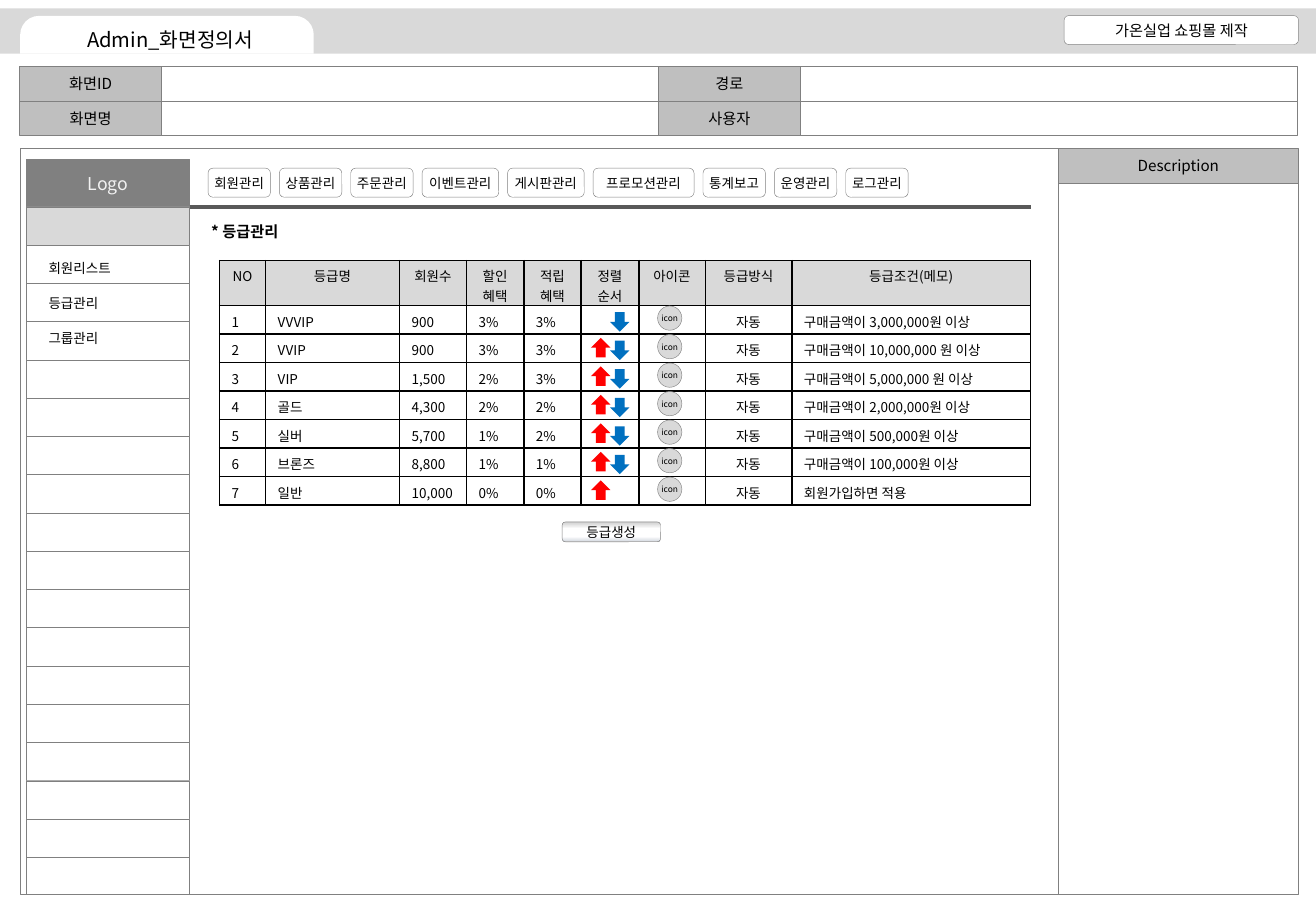
from dataclasses import dataclass

from lxml import etree
from pptx import Presentation
from pptx.dml import color
from pptx.enum import shapes as kinds, text as txt
from pptx.oxml import ns
from pptx.util import Pt


@dataclass(frozen=True)
class Theme:
    font: str = "Noto Sans CJK KR"
    ink: str = "000000"
    white: str = "FFFFFF"
    pale: str = "F2F2F2"
    light: str = "D9D9D9"
    mid: str = "BFBFBF"
    edge: str = "808080"
    rule: str = "595959"
    red: str = "FF0000"
    blue: str = "0070C0"
    title: float = 12
    logo: float = 10.5
    label: float = 9
    small: float = 8
    tiny: float = 5


T = Theme()
KIND = kinds.MSO_SHAPE
LEFT, MID = txt.PP_ALIGN.LEFT, txt.PP_ALIGN.CENTER
FIELDS = [["화면ID", "경로"], ["화면명", "사용자"]]
TABS = ["회원관리", "상품관리", "주문관리", "이벤트관리", "게시판관리",
        "프로모션관리", "통계보고", "운영관리", "로그관리"]
TAB_WIDTH = {4: 37, 5: 45.4, 6: 59.8}
MENU = ["회원리스트", "등급관리", "그룹관리"]
GLOSS = [(0, T.mid), (8, T.light), (34, T.white), (74, T.white),
         (93, "DDE1E7"), (100, "CCCCCC")]
COLS = [27.3, 79.4, 39.7, 34, 34, 34.2, 39.4, 51.3, 141.6]
HEADS = ["NO", "등급명", "회원수", "할인\n혜택", "적립\n혜택", "정렬\n순서",
         "아이콘", "등급방식", "등급조건(메모)"]
GRADES = [
    ("VVVIP", "900", "3%", "3%", "구매금액이 3,000,000원 이상"),
    ("VVIP", "900", "3%", "3%", "구매금액이 10,000,000 원 이상"),
    ("VIP", "1,500", "2%", "3%", "구매금액이 5,000,000 원 이상"),
    ("골드", "4,300", "2%", "2%", "구매금액이 2,000,000원 이상"),
    ("실버", "5,700", "1%", "2%", "구매금액이 500,000원 이상"),
    ("브론즈", "8,800", "1%", "1%", "구매금액이 100,000원 이상"),
    ("일반", "10,000", "0%", "0%", "회원가입하면 적용"),
]
GRID_X, GRID_Y, HEAD_H, ROW_H = 130.1, 154.4, 26.4, 16.9


def rgb(code):
    return color.RGBColor.from_string(code)


def assign(item, values):
    for key, value in values.items():
        setattr(item, key, value)


def write(frame, words, size, ink=T.ink, align=MID, bold=False, gap=0):
    """Fill a text frame; gap is the space between its paragraphs."""
    frame.text = words
    for i, par in enumerate(frame.paragraphs):
        assign(par, {"alignment": align, "space_before": Pt(gap if i else 0)})
        for run in par.runs:
            assign(run.font, {"name": T.font, "size": Pt(size), "bold": bold})
            run.font.color.rgb = rgb(ink)
            etree.SubElement(run.font._element, ns.qn("a:ea"), typeface=T.font)
        if not par.runs:
            etree.SubElement(par._p, ns.qn("a:endParaRPr"), sz=str(size * 100))


def frame_up(frame, left=0, top=0, anchor=txt.MSO_ANCHOR.MIDDLE):
    assign(frame, {
        "margin_left": Pt(left), "margin_right": Pt(left),
        "margin_top": Pt(top), "margin_bottom": Pt(top),
        "vertical_anchor": anchor, "word_wrap": False,
        "auto_size": txt.MSO_AUTO_SIZE.NONE})


def draw(slide, kind, box, fill=None, edge=T.edge, words="", size=T.label,
         ink=T.ink):
    shape = slide.shapes.add_shape(kind, *map(Pt, box))
    shape.shadow.inherit = False
    if fill:
        shape.fill.solid()
        shape.fill.fore_color.rgb = rgb(fill)
    else:
        shape.fill.background()
    if edge:
        shape.line.width = Pt(0.25)
        shape.line.color.rgb = rgb(edge)
    else:
        shape.line.fill.background()
    if words:
        frame_up(shape.text_frame)
        write(shape.text_frame, words, size, ink)
    return shape


def gloss(shape):
    """Give a shape the vertical button gradient."""
    shape.fill.gradient()
    shape.fill.gradient_angle = 270
    stops = next(shape._element.iter(ns.qn("a:gsLst")))
    for stop in list(stops):
        stops.remove(stop)
    for pos, code in GLOSS:
        stop = etree.SubElement(stops, ns.qn("a:gs"), pos=str(pos * 1000))
        etree.SubElement(stop, ns.qn("a:srgbClr"), val=code)


def place(holder, box):
    """Move a placeholder and bring it to the front."""
    assign(holder, dict(zip(("left", "top", "width", "height"), map(Pt, box))))
    holder._element.getparent().append(holder._element)


def header(slide):
    draw(slide, KIND.RECTANGLE, (0, 5, 780, 26.8), T.light, None)
    tab = draw(slide, KIND.ROUND_2_SAME_RECTANGLE, (12, 9.4, 174, 22.4),
               T.white, None)
    tab.adjustments[0] = 0.5
    draw(slide, KIND.ROUNDED_RECTANGLE, (630.7, 9.2, 139, 17.2), T.white,
         words="가온실업 쇼핑몰 제작")
    title = slide.shapes.title
    place(title, (21.6, 15, 158.4, 17.3))
    frame_up(title.text_frame)
    write(title.text_frame, "Admin_화면정의서", T.title)
    for j, row in enumerate(FIELDS):
        for i, name in enumerate(row):
            x, y = 11.6 + 378.6 * i, 39.4 + 20.4 * j
            draw(slide, KIND.RECTANGLE, (x, y, 84.2, 20.4), T.mid, words=name)
            draw(slide, KIND.RECTANGLE, (x + 84.2, y, 294.7, 20.4))


def panels(slide):
    draw(slide, KIND.RECTANGLE, (12, 88, 615.4, 442.2))
    draw(slide, KIND.RECTANGLE, (627.4, 88, 142, 20.6), T.mid,
         words="Description")
    draw(slide, KIND.RECTANGLE, (627.4, 108.6, 142, 421.6))


def sidebar(slide):
    draw(slide, KIND.RECTANGLE, (15.8, 122.6, 96.6, 407.6))
    draw(slide, KIND.RECTANGLE, (15.8, 94.4, 96.6, 28.2), T.edge,
         words="Logo", size=T.logo, ink=T.pale)
    for i in range(17):
        draw(slide, KIND.RECTANGLE, (15.8, 122.6 + 22.68 * i, 96.6, 22.68),
             T.white if i else T.light)
    menu = slide.placeholders[1]
    place(menu, (21.6, 150.6, 80, 70))
    frame_up(menu.text_frame, 7.2, 3.6, txt.MSO_ANCHOR.TOP)
    write(menu.text_frame, "\n".join(MENU), T.small, align=LEFT, gap=11.1)
    for par in menu.text_frame.paragraphs:
        props = par._p.get_or_add_pPr()
        props.set("marL", "0")
        props.set("indent", "0")
        etree.SubElement(props, ns.qn("a:buNone"))


def tabs(slide):
    x = 123.3
    for name in TABS:
        width = TAB_WIDTH[len(name)]
        draw(slide, KIND.ROUNDED_RECTANGLE, (x, 99.7, width, 17.2),
             words=name, size=T.small)
        x += width + 5.3
    rule = slide.shapes.add_connector(
        kinds.MSO_CONNECTOR.STRAIGHT, *map(Pt, (112.4, 122.6, 611.2, 122.6)))
    rule.line.width = Pt(2.25)
    rule.line.color.rgb = rgb(T.rule)
    etree.SubElement(rule._element.spPr, ns.qn("a:effectLst"))


def border(cell):
    props = cell._tc.get_or_add_tcPr()
    for i, side in enumerate(("lnL", "lnR", "lnT", "lnB")):
        line = etree.Element(ns.qn("a:" + side), w=str(Pt(1)))
        solid = etree.SubElement(line, ns.qn("a:solidFill"))
        etree.SubElement(solid, ns.qn("a:srgbClr"), val=T.ink)
        props.insert(i, line)


def grid(slide):
    rows = [HEADS] + [
        (str(n), *grade[:4], "", "", "자동", grade[4])
        for n, grade in enumerate(GRADES, 1)]
    high = HEAD_H + ROW_H * len(GRADES)
    table = slide.shapes.add_table(
        len(rows), len(COLS),
        *map(Pt, (GRID_X, GRID_Y, sum(COLS), high))).table
    assign(table, {"first_row": False, "horz_banding": False})
    for col, width in zip(table.columns, COLS):
        col.width = Pt(width)
    for r, row in enumerate(rows):
        table.rows[r].height = Pt(ROW_H if r else HEAD_H)
        for c, words in enumerate(row):
            cell = table.cell(r, c)
            assign(cell, {"margin_top": Pt(3.4), "margin_bottom": 0})
            write(cell.text_frame, words, T.small,
                  align=LEFT if r and c != 7 else MID)
            if r:
                cell.fill.background()
            else:
                cell.fill.solid()
                cell.fill.fore_color.rgb = rgb(T.light)
            border(cell)


def marks(slide):
    """Add the sort arrows and icons over the table rows."""
    last = len(GRADES) - 1
    for i in range(last + 1):
        y = GRID_Y + HEAD_H + ROW_H * i
        if i < last:
            draw(slide, KIND.DOWN_ARROW, (361.6, y + 4.3, 11.5, 11.5), T.blue,
                 None)
        if i:
            draw(slide, KIND.UP_ARROW, (350.3, y + 2.6, 11.5, 11.5), T.red,
                 None)
        draw(slide, KIND.OVAL, (389.8, y + 0.6, 14.4, 14.4), T.light,
             words="icon", size=T.tiny)


def main():
    deck = Presentation()
    assign(deck, {"slide_width": Pt(780), "slide_height": Pt(540)})
    slide = deck.slides.add_slide(deck.slide_layouts[1])
    header(slide)
    panels(slide)
    sidebar(slide)
    tabs(slide)
    head = slide.shapes.add_textbox(*map(Pt, (118.1, 128.2, 58.3, 18)))
    frame_up(head.text_frame, 7.2, 3.6, txt.MSO_ANCHOR.TOP)
    write(head.text_frame, "* 등급관리", T.label, align=LEFT, bold=True)
    grid(slide)
    marks(slide)
    gloss(draw(slide, KIND.ROUNDED_RECTANGLE, (333.2, 309.4, 58.3, 11.8),
               T.white, words="등급생성", size=T.small))
    deck.save("out.pptx")


if __name__ == "__main__":
    main()
